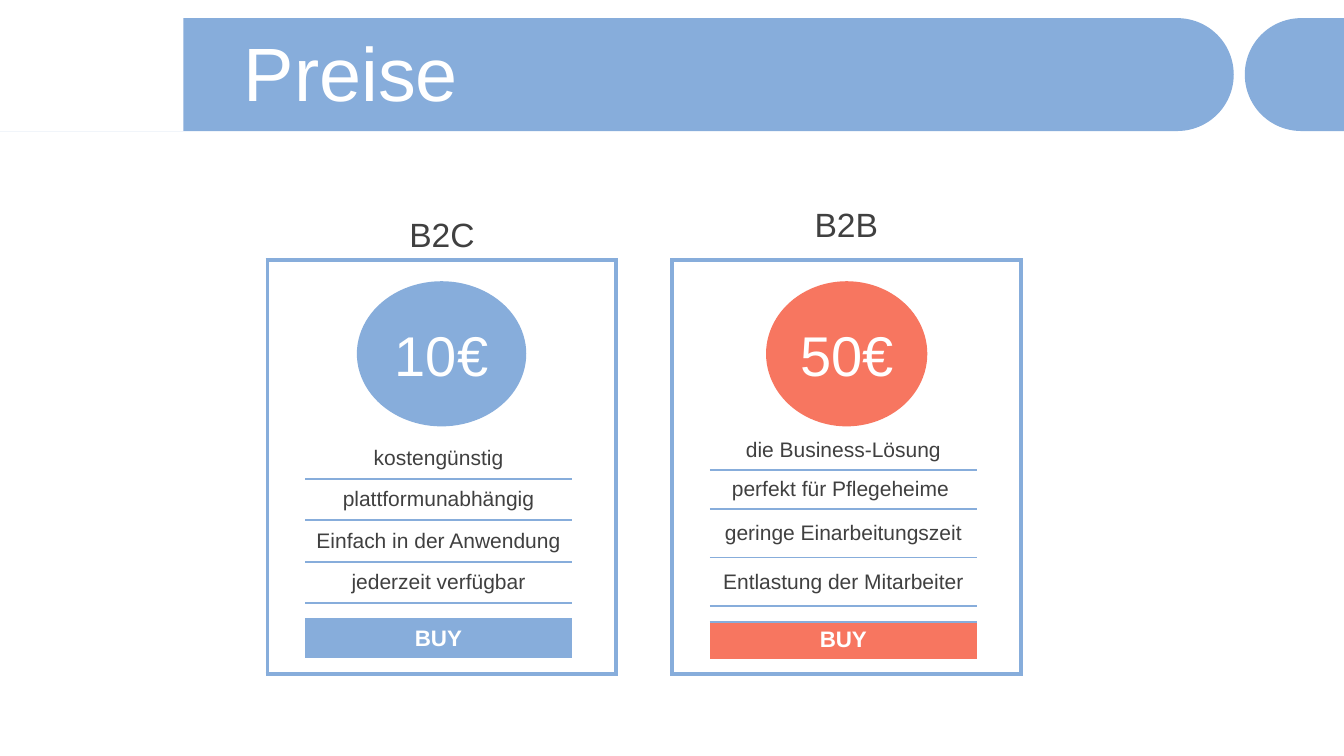
from dataclasses import dataclass
from math import cos, pi, sin

from lxml.etree import SubElement
from pptx import Presentation
from pptx.dml.color import RGBColor
from pptx.enum.shapes import MSO_SHAPE
from pptx.enum.text import MSO_ANCHOR, PP_ALIGN
from pptx.oxml.ns import qn
from pptx.util import Pt


@dataclass(frozen=True)
class Theme:
    font: str = "Arial"
    blue: str = "87ADDB"
    coral: str = "F77660"
    white: str = "FFFFFF"
    dark: str = "404040"
    title: float = 54
    price: float = 40
    heading: float = 24
    button: float = 16
    feature: float = 15
    spacer: float = 5
    frame: float = 3
    rule: float = 1.5


@dataclass(frozen=True)
class Box:
    x: float
    y: float
    w: float
    h: float

    def emu(self) -> tuple:
        return Pt(self.x), Pt(self.y), Pt(self.w), Pt(self.h)


@dataclass(frozen=True)
class Plan:
    name: str
    heading: Box
    price: str
    disc: Box
    accent: str
    table: Box
    rows: tuple
    features: tuple


T = Theme()
NO_STYLE = "{2D5ABB26-0587-4C30-8999-92F81FD0307C}"
SLIDE_W, SLIDE_H = 960, 540
BAR_TOP, BAR_RADIUS = 12.96, 40.32
COLS = (26.9, 190.7, 31.3)
BUTTON_ROW, LAST_ROW = 6, 7

PLANS = (
    Plan("B2C", Box(239, 149, 153.4, 36), "10€", Box(254.9, 200.9, 121, 103.7),
         T.blue, Box(191, 185.8, sum(COLS), 295.5),
         (126.7, 29.6, 29.6, 29.6, 29.6, 11.5, 27.4, 11.5),
         ("kostengünstig", "plattformunabhängig", "Einfach in der Anwendung", "jederzeit verfügbar")),
    Plan("B2B", Box(527.8, 141.8, 153.4, 36), "50€", Box(547.2, 200.9, 115.2, 103.7),
         T.coral, Box(480.2, 185.8, sum(COLS), 295.5),
         (121.7, 28.1, 28.1, 34.6, 34.6, 11.2, 26.4, 10.8),
         ("die Business-Lösung", "perfekt für Pflegeheime ", "geringe Einarbeitungszeit",
          "Entlastung der Mitarbeiter")),
)


def paint(sp, color: str) -> None:
    sp.shadow.inherit = False
    sp.fill.solid()
    sp.fill.fore_color.rgb = RGBColor.from_string(color)
    sp.line.fill.background()


def write(tf, text: str, size: float, color: str, bold: bool = False, align=PP_ALIGN.CENTER):
    p = tf.paragraphs[0]
    p.alignment = align
    r = p.add_run()
    r.text = text
    for key, value in {"name": T.font, "size": Pt(size), "bold": bold}.items():
        setattr(r.font, key, value)
    r.font.color.rgb = RGBColor.from_string(color)
    return p


def set_margins(target, side: float, vertical: float) -> None:
    for edge, value in {"left": side, "right": side, "top": vertical, "bottom": vertical}.items():
        setattr(target, f"margin_{edge}", Pt(value))


def add_text(s, box: Box, text: str, size: float, color: str, side: float = 0,
             align=PP_ALIGN.CENTER, anchor=MSO_ANCHOR.TOP):
    tf = s.shapes.add_textbox(*box.emu()).text_frame
    tf.word_wrap = True
    tf.vertical_anchor = anchor
    set_margins(tf, side, 3.6)
    return write(tf, text, size, color, align=align)


def add_bar(s, flat_x: float, center_x: float, direction: int) -> None:
    mid = BAR_TOP + BAR_RADIUS
    steps = 48
    arc = [(center_x + direction * BAR_RADIUS * sin(pi * i / steps),
            mid - BAR_RADIUS * cos(pi * i / steps)) for i in range(steps + 1)]
    points = [(Pt(x), Pt(y)) for x, y in arc + [(flat_x, mid + BAR_RADIUS)]]
    fb = s.shapes.build_freeform(Pt(flat_x), Pt(BAR_TOP))
    fb.add_line_segments(points, close=True)
    paint(fb.convert_to_shape(), T.blue)


def cell_borders(row: int, col: int) -> dict:
    edges = {}
    if col == 0:
        edges["L"] = T.frame
    if col == 2 or row == 0:
        edges["R"] = T.frame
    if row == 0:
        edges["T"] = T.frame
    elif col == 1 and 2 <= row <= 5:
        edges["T"] = T.rule
    if row == LAST_ROW:
        edges["B"] = T.frame
    elif col == 1 and 1 <= row <= 4:
        edges["B"] = T.rule
    return edges


def add_borders(cell, edges: dict) -> None:
    tcPr = cell._tc.get_or_add_tcPr()
    for side, width in edges.items():
        ln = SubElement(tcPr, qn(f"a:ln{side}"), w=str(Pt(width)))
        fill = SubElement(ln, qn("a:solidFill"))
        SubElement(fill, qn("a:srgbClr"), val=T.blue)


def add_plan_table(s, plan: Plan) -> None:
    tbl = s.shapes.add_table(len(plan.rows), len(COLS), *plan.table.emu()).table
    tbl.first_row = tbl.horz_banding = False
    tbl._tbl.tblPr.find(qn("a:tableStyleId")).text = NO_STYLE
    for column, width in zip(tbl.columns, COLS):
        column.width = Pt(width)
    for row, height in zip(tbl.rows, plan.rows):
        row.height = Pt(height)
    for first, last in (((0, 0), (0, 2)), ((2, 0), (4, 0)), ((2, 2), (4, 2))):
        tbl.cell(*first).merge(tbl.cell(*last))

    texts = {i: (text, T.feature, T.dark, False) for i, text in enumerate(plan.features, 1)}
    texts[BUTTON_ROW] = ("BUY", T.button, T.white, True)
    for i in range(len(plan.rows)):
        for j in range(len(COLS)):
            cell = tbl.cell(i, j)
            set_margins(cell, 0, 0)
            cell.vertical_anchor = MSO_ANCHOR.MIDDLE
            if not cell.is_spanned:
                add_borders(cell, cell_borders(i, j))
            if j == 1 and i in texts:
                write(cell.text_frame, *texts[i])
            else:
                p = cell.text_frame.paragraphs[0]
                SubElement(p._p, qn("a:endParaRPr"), sz=str(int(T.spacer * 100)))
            if (i, j) == (BUTTON_ROW, 1):
                cell.fill.solid()
                cell.fill.fore_color.rgb = RGBColor.from_string(plan.accent)
            else:
                cell.fill.background()


def add_plan(s, plan: Plan) -> None:
    add_text(s, plan.heading, plan.name, T.heading, T.dark)
    add_plan_table(s, plan)
    disc = s.shapes.add_shape(MSO_SHAPE.OVAL, *plan.disc.emu())
    paint(disc, plan.accent)
    disc.text_frame.vertical_anchor = MSO_ANCHOR.MIDDLE
    write(disc.text_frame, plan.price, T.price, T.white)


def main() -> None:
    prs = Presentation()
    prs.slide_width, prs.slide_height = Pt(SLIDE_W), Pt(SLIDE_H)
    s = prs.slides.add_slide(prs.slide_layouts[6])
    add_bar(s, 0, 840.96, 1)
    emblem = Box(0, BAR_TOP, 131, 2 * BAR_RADIUS)
    paint(s.shapes.add_shape(MSO_SHAPE.RECTANGLE, *emblem.emu()), T.white)
    add_bar(s, SLIDE_W, 929.5, -1)
    title = add_text(s, Box(167, 26.6, 769.7, 56.9), "Preise", T.title, T.white, 7.2,
                     PP_ALIGN.LEFT, MSO_ANCHOR.MIDDLE)
    title.line_spacing = 0.9
    for plan in PLANS:
        add_plan(s, plan)
    prs.save("out.pptx")


if __name__ == "__main__":
    main()
